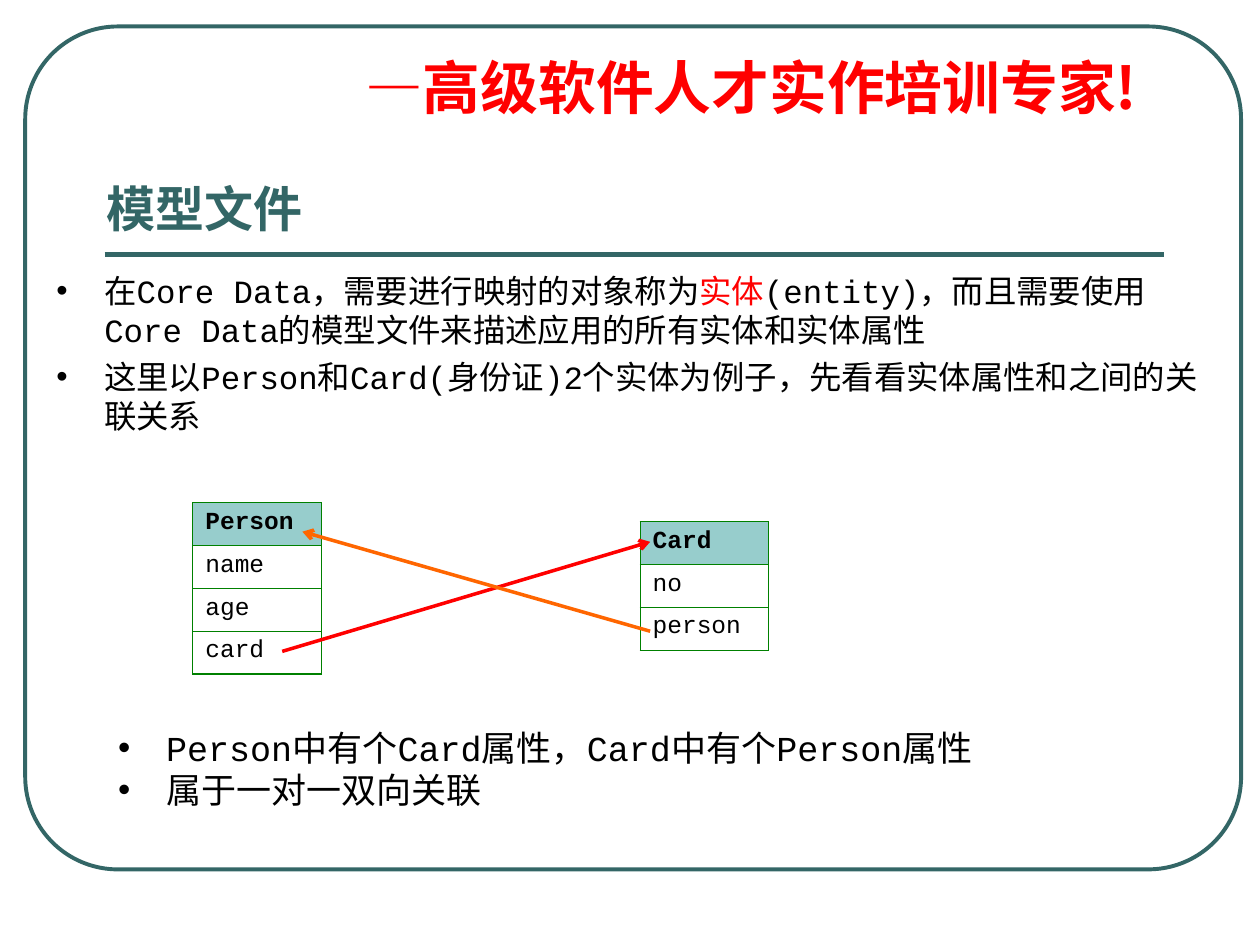
from lxml.etree import SubElement
from pptx import Presentation
from pptx.dml.color import RGBColor
from pptx.enum.shapes import MSO_CONNECTOR, MSO_SHAPE
from pptx.enum.text import MSO_ANCHOR
from pptx.oxml.ns import qn
from pptx.util import Inches, Pt

TEAL, RED, ORANGE, BLACK = "336666", "FF0000", "FF6600", "000000"
HEADER, BORDER = "97CDCC", "008000"
CODE, LATIN, CHINESE = "Courier New", "Montserrat", "Noto Sans CJK SC"
INDENT, CELL_WIDTH, CELL_HEIGHT = 0.38, 1.02, 0.34

SLOGAN = [[("—", RED, LATIN), ("高级软件人才实作培训专家!", RED, CHINESE)]]
TITLE = [[("模型文件", TEAL, CODE)]]
BODY = [
    [("在Core Data，需要进行映射的对象称为", BLACK, CODE), ("实体", RED, CODE),
     ("(entity)，而且需要使用Core Data的模型文件来描述应用的所有实体和实体属性", BLACK, CODE)],
    [("这里以Person和Card(身份证)2个实体为例子，先看看实体属性和之间的关联关系", BLACK, CODE)],
]
SUMMARY = [
    [("Person中有个Card属性，Card中有个Person属性", BLACK, CODE)],
    [("属于一对一双向关联", BLACK, CODE)],
]
TEXTS = [
    (SLOGAN, (2.8, 0.36, 6.3, 1.2), dict(size=33, bold=True, indent=INDENT)),
    (TITLE, (0.75, 0.36, 8.42, 1.57), dict(size=28, bold=True, anchor=MSO_ANCHOR.BOTTOM)),
    (BODY, (0.35, 2.1, 9.37, 1.5), dict(size=18.5, indent=INDENT, bullet=True, before=5)),
    (SUMMARY, (0.84, 5.72, 7.44, 0.77),
     dict(size=20, indent=INDENT, bullet=True, wrap=False)),
]
ENTITIES = [
    (1.53, 3.99, ["Person", "name", "age", "card"]),
    (5.08, 4.14, ["Card", "no", "person"]),
]
ARROWS = [((2.24, 5.17), (5.16, 4.3), RED), ((5.16, 5.01), (2.4, 4.22), ORANGE)]


def color(value):
    return RGBColor.from_string(value)


def style_run(run, size, bold, fill, font):
    run.font.size, run.font.bold, run.font.name = Pt(size), bold, font
    run.font.color.rgb = color(fill)


def add_text(slide, paragraphs, box, size, bold=False, indent=0, bullet=False,
             before=0, wrap=True, anchor=MSO_ANCHOR.TOP):
    frame = slide.shapes.add_textbox(*map(Inches, box)).text_frame
    frame.word_wrap, frame.vertical_anchor = wrap, anchor
    for index, runs in enumerate(paragraphs):
        paragraph = frame.add_paragraph() if index else frame.paragraphs[0]
        paragraph.space_before = Pt(before)
        properties = paragraph._p.get_or_add_pPr()
        properties.set("marL", str(Inches(indent)))
        properties.set("indent", str(-Inches(indent)))
        if bullet:
            SubElement(properties, qn("a:buFont"), typeface="Arial")
            SubElement(properties, qn("a:buChar"), char="•")
        for text, fill, font in runs:
            run = paragraph.add_run()
            run.text = text
            style_run(run, size, bold, fill, font)


def add_line(slide, start, end, fill, width, arrow=False):
    line = slide.shapes.add_connector(
        MSO_CONNECTOR.STRAIGHT, *map(Inches, (*start, *end)))
    line.line.color.rgb, line.line.width = color(fill), Pt(width)
    if arrow:
        SubElement(line.line._get_or_add_ln(), qn("a:tailEnd"), type="arrow")
    SubElement(line._element.spPr, qn("a:effectLst"))


def add_entity(slide, left, top, names):
    box = (left, top, CELL_WIDTH, CELL_HEIGHT * len(names))
    table = slide.shapes.add_table(len(names), 1, *map(Inches, box)).table
    for row, name in enumerate(names):
        cell = table.cell(row, 0)
        cell.text_frame.text = name
        style_run(cell.text_frame.paragraphs[0].runs[0], 14, row == 0, BLACK, CODE)
        properties = cell._tc.get_or_add_tcPr()
        for side in ("lnL", "lnR", "lnT", "lnB"):
            border = SubElement(properties, qn(f"a:{side}"), w=str(Pt(0.75)))
            SubElement(SubElement(border, qn("a:solidFill")), qn("a:srgbClr"), val=BORDER)
        if row == 0:
            cell.fill.solid()
            cell.fill.fore_color.rgb = color(HEADER)
        else:
            cell.fill.background()


def main():
    """Build the slide on the model file and its two linked entities."""
    presentation = Presentation()
    presentation.slide_width, presentation.slide_height = Inches(10), Inches(7.5)
    slide = presentation.slides.add_slide(presentation.slide_layouts[6])
    frame = slide.shapes.add_shape(
        MSO_SHAPE.ROUNDED_RECTANGLE, *map(Inches, (0.2, 0.21, 9.65, 6.69)))
    frame.adjustments[0] = 0.11
    frame.shadow.inherit = False
    frame.fill.background()
    frame.line.color.rgb, frame.line.width = color(TEAL), Pt(2.25)
    add_line(slide, (0.83, 2.02), (9.24, 2.02), TEAL, 3)
    for paragraphs, box, options in TEXTS:
        add_text(slide, paragraphs, box, **options)
    for left, top, names in ENTITIES:
        add_entity(slide, left, top, names)
    for start, end, fill in ARROWS:
        add_line(slide, start, end, fill, 2, arrow=True)
    presentation.save("out.pptx")


if __name__ == "__main__":
    main()
